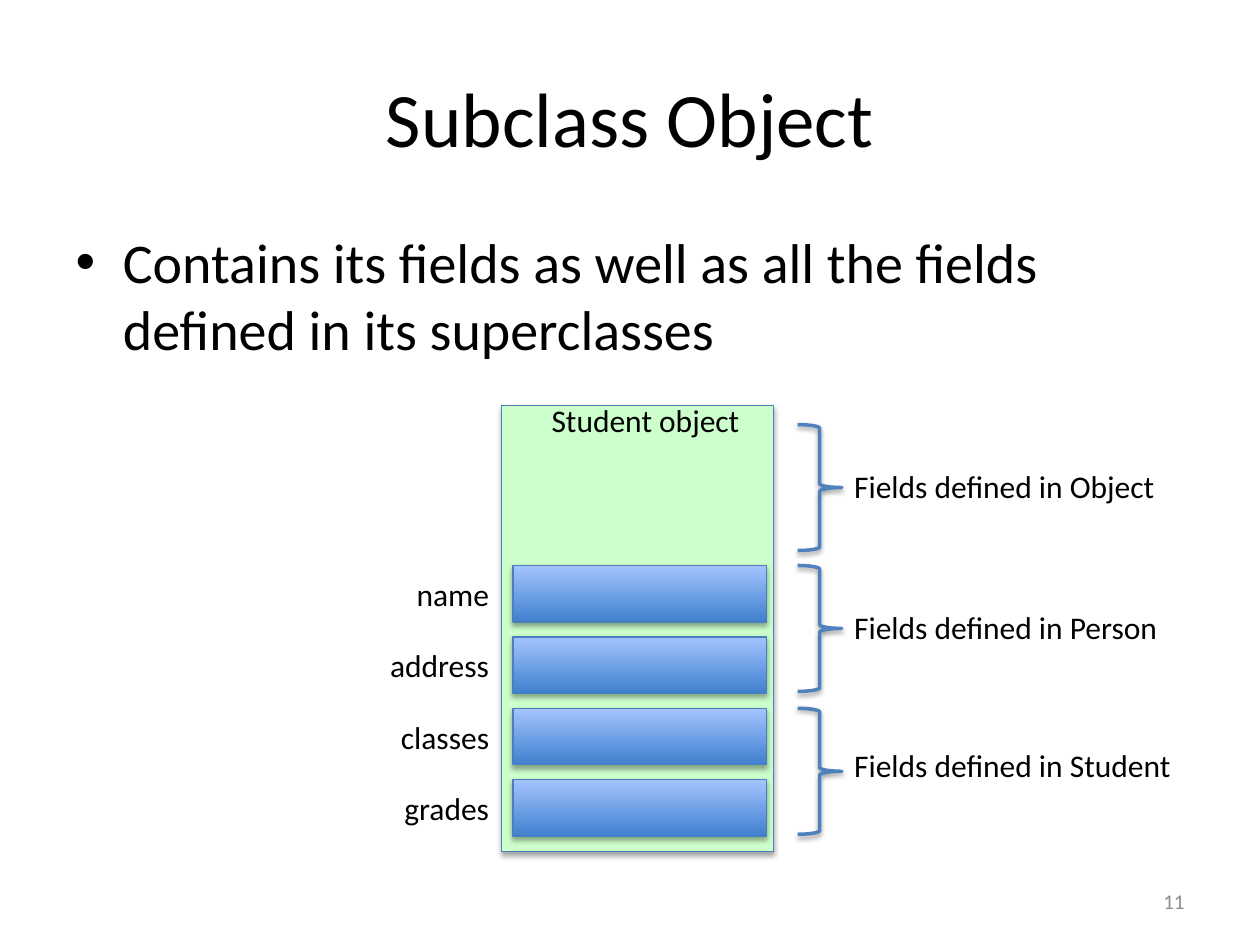
from dataclasses import dataclass

from lxml.etree import SubElement
from pptx import Presentation
from pptx.dml.color import RGBColor
from pptx.enum.shapes import MSO_SHAPE as Preset
from pptx.enum.text import MSO_ANCHOR as Anchor, MSO_AUTO_SIZE as AutoSize, PP_ALIGN as Align
from pptx.oxml.ns import qn
from pptx.util import Cm, Pt

FONT = "Calibri"
COLORS = {
    "text": "000000",
    "page_number": "8C8C8C",
    "object": "CCFFCC",
    "field_bottom": "3F80CE",
    "field_top": "A4C4FF",
    "outline": "4B7EBC",
    "brace": "4F81BD",
}
FIELD_TOP, FIELD_PITCH = 11.4, 1.44


@dataclass
class Box:
    """A rectangle in centimetres."""
    left: float
    top: float
    width: float
    height: float

    def emu(self) -> tuple:
        return Cm(self.left), Cm(self.top), Cm(self.width), Cm(self.height)


@dataclass
class FieldSource:
    """The class that defines a bracketed run of fields."""
    caption: str
    top: float
    caption_top: float
    caption_width: float


FIELDS = ["name", "address", "classes", "grades"]
SOURCES = [
    FieldSource("Fields defined in Object", 8.56, 9.3, 6.63),
    FieldSource("Fields defined in Person", FIELD_TOP, 12.14, 6.71),
    FieldSource("Fields defined in Student", FIELD_TOP + 2 * FIELD_PITCH, 14.91, 6.96),
]


def rgb(name: str) -> RGBColor:
    return RGBColor.from_string(COLORS[name])


def format_text(frame, size: float, color: str = "text", align=None) -> None:
    for paragraph in frame.paragraphs:
        paragraph.alignment = align
        for run in paragraph.runs:
            run.font.name, run.font.size = FONT, Pt(size)
            run.font.color.rgb = rgb(color)


def add_label(shapes, text: str, box: Box, size: float = 18, color: str = "text",
              align=Align.LEFT, wrap: bool = False):
    frame = shapes.add_textbox(*box.emu()).text_frame
    frame.text = text
    frame.word_wrap = wrap
    frame.auto_size = AutoSize.SHAPE_TO_FIT_TEXT
    format_text(frame, size, color, align)
    return frame


def add_outlined(shapes, preset, box: Box, line: str, line_width: float,
                 shadow_distance: float, shadow_opacity: int):
    """Add an unfilled preset shape with a soft shadow below it."""
    shape = shapes.add_shape(preset, *box.emu())
    shape.fill.background()
    shape.line.color.rgb = rgb(line)
    shape.line.width = Pt(line_width)
    shape.shadow.inherit = False
    effects = shape._element.spPr.find(qn("a:effectLst"))
    shadow = SubElement(effects, qn("a:outerShdw"), blurRad=str(Pt(3.1)),
                        dist=str(Pt(shadow_distance)), dir="5400000", rotWithShape="0")
    black = SubElement(shadow, qn("a:srgbClr"), val="000000")
    SubElement(black, qn("a:alpha"), val=str(shadow_opacity * 1000))
    return shape


def add_rectangle(shapes, box: Box):
    return add_outlined(shapes, Preset.RECTANGLE, box, "outline", 0.75, 1.8, 35)


def add_field(slide, name: str, top: float) -> None:
    group = slide.shapes.add_group_shape()
    slot = add_rectangle(group.shapes, Box(10.34, top, 5.11, 1.14))
    slot.fill.gradient()
    slot.fill.gradient_angle = 90
    for stop, color in zip(slot.fill.gradient_stops, ("field_bottom", "field_top")):
        stop.color.rgb = rgb(color)
    add_label(group.shapes, name, Box(6.83, top + 0.06, 3.28, 1.03),
              align=Align.RIGHT, wrap=True)


def add_source(slide, source: FieldSource) -> None:
    add_outlined(slide.shapes, Preset.RIGHT_BRACE, Box(16.08, source.top, 0.89, 2.54),
                 "brace", 2, 1.6, 38)
    add_label(slide.shapes, source.caption,
              Box(16.97, source.caption_top, source.caption_width, 1.03))


def main() -> None:
    deck = Presentation()
    deck.slide_width, deck.slide_height = Cm(25.4), Cm(19.05)
    slide = deck.slides.add_slide(deck.slide_layouts[1])

    title, body = slide.placeholders
    title.left, title.top, title.width, title.height = Box(1.27, 0.76, 22.86, 3.18).emu()
    title.text_frame.text = "Subclass Object"
    format_text(title.text_frame, 44, align=Align.CENTER)
    body.left, body.top, body.width, body.height = Box(1.27, 4.45, 22.86, 12.57).emu()
    body.text_frame.text = ("Contains its fields as well as all the fields "
                            "defined in its superclasses")
    format_text(body.text_frame, 32)

    student = add_rectangle(slide.shapes, Box(10.11, 8.18, 5.49, 8.99))
    student.fill.solid()
    student.fill.fore_color.rgb = rgb("object")
    for row, name in enumerate(FIELDS):
        add_field(slide, name, FIELD_TOP + row * FIELD_PITCH)
    add_label(slide.shapes, "Student object", Box(10.87, 7.95, 4.37, 1.03))
    for source in SOURCES:
        add_source(slide, source)

    page_number = add_label(slide.shapes, "11", Box(18.21, 17.65, 5.92, 1.02), 12,
                            "page_number", Align.RIGHT, wrap=True)
    page_number.auto_size = AutoSize.NONE
    page_number.vertical_anchor = Anchor.MIDDLE

    deck.save("out.pptx")


if __name__ == "__main__":
    main()
